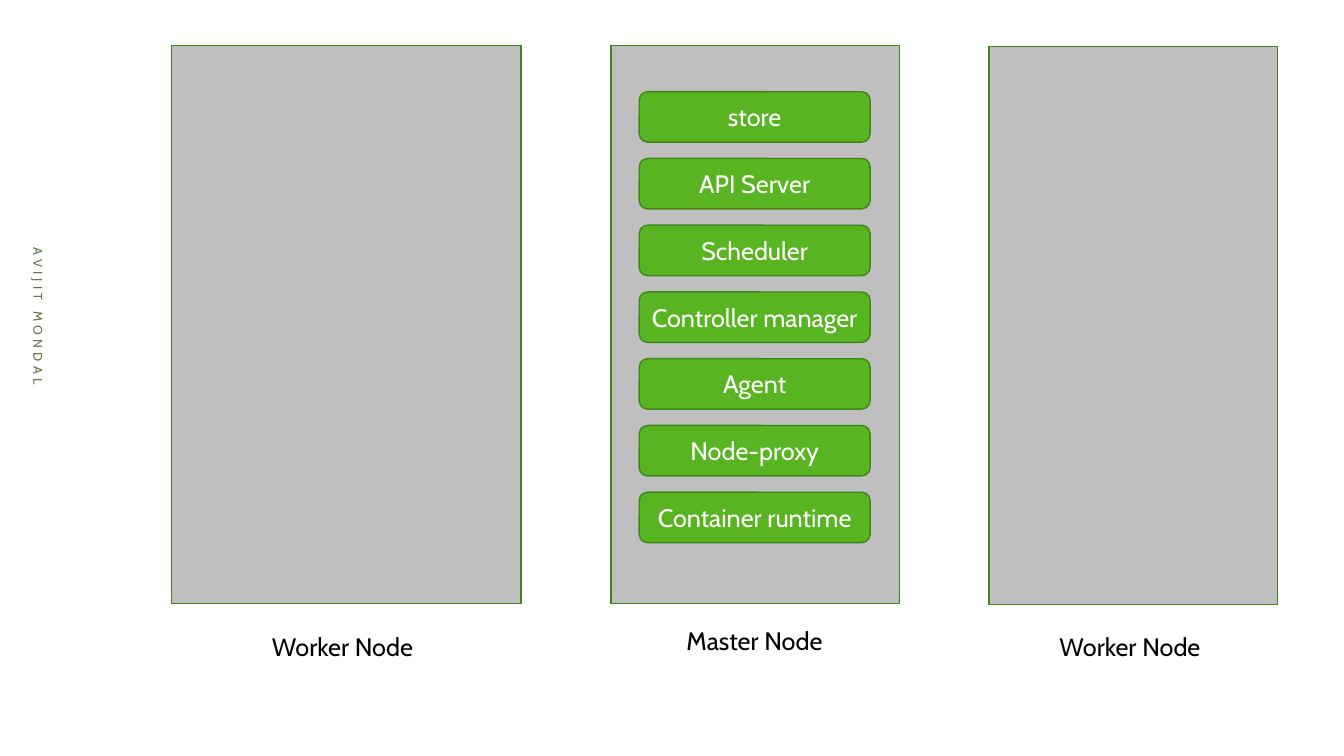
from pptx import Presentation
from pptx.dml.color import RGBColor
from pptx.enum.shapes import MSO_SHAPE
from pptx.enum.text import MSO_ANCHOR, MSO_AUTO_SIZE, PP_ALIGN
from pptx.util import Inches, Pt

WIDE, HIGH = 13.33, 7.5
COL, ROW = WIDE / 100, HIGH / 100
GREEN, EDGE, GREY = "58B420", "418518", "BFBFBF"
PARTS = ["store", "API Server", "Scheduler", "Controller manager",
         "Agent", "Node-proxy", "Container runtime"]
NODES = [
    ("Worker Node", (12.75, 6, 26.03, 73.87), (19.5, 82.8, 12.53, 5.33)),
    ("Master Node", (45.46, 6, 21.46, 73.87), (50.34, 82, 11.7, 5.33)),
    ("Worker Node", (73.59, 6.13, 21.46, 73.87), (78.09, 82.8, 12.53, 5.33)),
]


def paint(code):
    return RGBColor.from_string(code)


def place(cell):
    left, top, wide, high = cell
    return [Inches(size) for size in (left * COL, top * ROW, wide * COL, high * ROW)]


def write(shape, text, size=18, color="000000", align=PP_ALIGN.CENTER,
          anchor=MSO_ANCHOR.MIDDLE, fit=MSO_AUTO_SIZE.NONE, gap=0):
    frame = shape.text_frame
    frame.word_wrap = False
    frame.auto_size = fit
    frame.vertical_anchor = anchor
    para = frame.paragraphs[0]
    para.alignment = align
    run = para.add_run()
    run.text = text
    run.font.name = "Cabin"
    run.font.size = Pt(size)
    run.font.color.rgb = paint(color)
    if gap:
        run.font._element.set("spc", str(gap * 100))


def box(slide, kind, cell, fill):
    shape = slide.shapes.add_shape(kind, *place(cell))
    shape.shadow.inherit = False
    shape.fill.solid()
    shape.fill.fore_color.rgb = paint(fill)
    shape.line.color.rgb = paint(EDGE)
    shape.line.width = Pt(1)
    return shape


def label(slide, cell, text, turn=0, **style):
    shape = slide.shapes.add_textbox(*place(cell))
    shape.rotation = turn
    write(shape, text, **style)


def main():
    deck = Presentation()
    deck.slide_width, deck.slide_height = Inches(WIDE), Inches(HIGH)
    slide = deck.slides.add_slide(deck.slide_layouts[6])
    label(slide, (-14.03, 38.8, 33.76, 6), "AVIJIT MONDAL", turn=90,
          size=9, color="5E7643", gap=3)
    for name, cell, spot in NODES:
        box(slide, MSO_SHAPE.RECTANGLE, cell, GREY)
        label(slide, spot, name, align=PP_ALIGN.LEFT, anchor=MSO_ANCHOR.TOP,
              fit=MSO_AUTO_SIZE.SHAPE_TO_FIT_TEXT)
    for row, name in enumerate(PARTS):
        cell = (47.56, 12.13 + row * 8.83, 17.18, 6.67)
        part = box(slide, MSO_SHAPE.ROUNDED_RECTANGLE, cell, GREEN)
        write(part, name, color="FFFFFF")
    deck.save("out.pptx")


if __name__ == "__main__":
    main()
